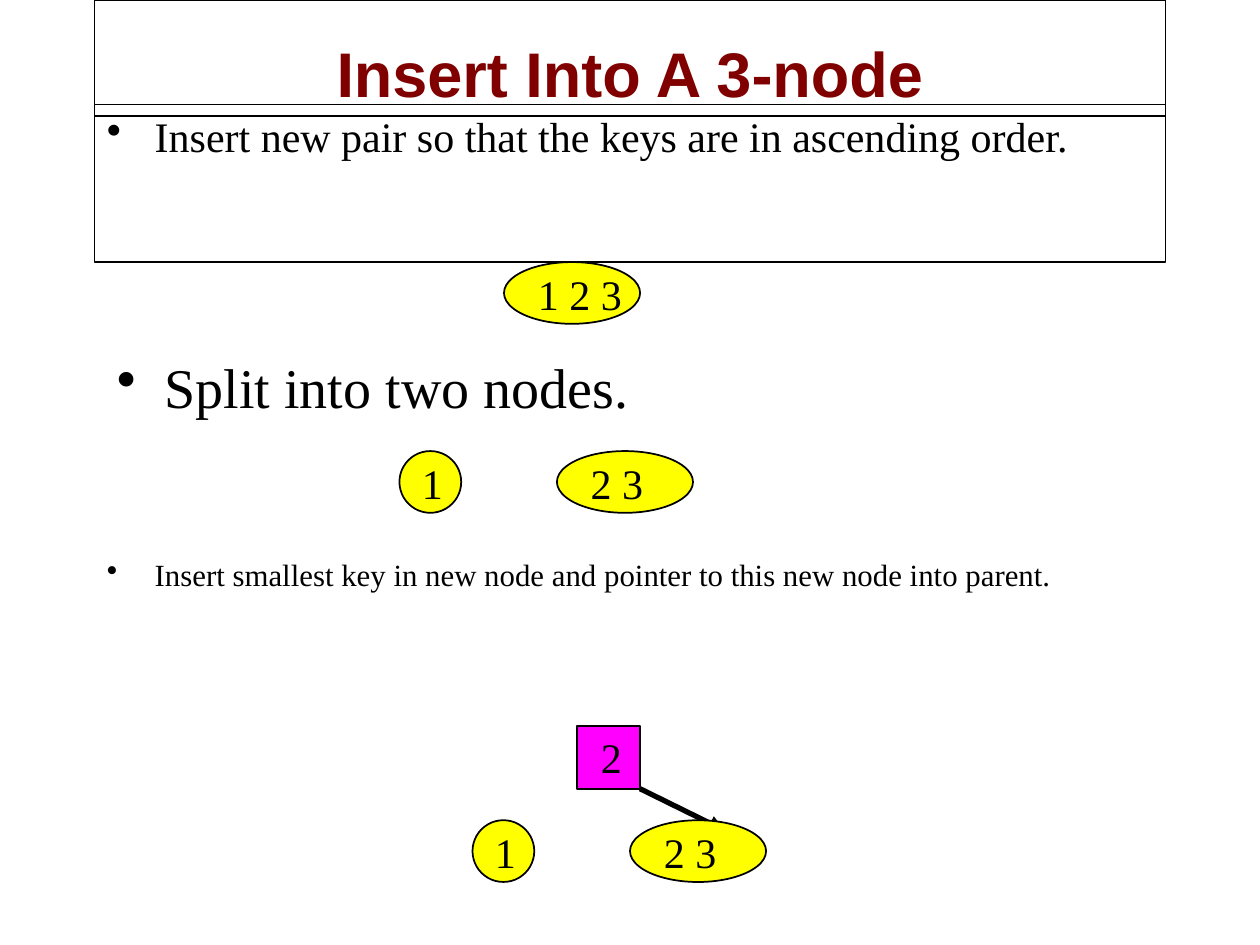
from lxml.etree import SubElement
from pptx import Presentation
from pptx.dml.color import RGBColor
from pptx.enum.shapes import MSO_CONNECTOR, MSO_SHAPE
from pptx.enum.text import MSO_ANCHOR, PP_ALIGN
from pptx.oxml.ns import qn
from pptx.util import Inches, Pt

COLORS = {
    "text": "000000",
    "title": "800000",
    "node": "FFFF00",
    "parent": "FF00FF",
}
SERIF = "Times New Roman"
NODE_HEIGHT = 0.49
WIDE_NODE = 1.08
PARENT_SIZE = 0.5


def color(name):
    return RGBColor.from_string(COLORS[name])


def write_text(shape, text, size, font=SERIF, color_name="text", bold=False):
    """Put one left-aligned line of text in a shape and return its paragraph."""
    frame = shape.text_frame
    frame.word_wrap = True
    frame.vertical_anchor = MSO_ANCHOR.TOP
    frame.text = text
    para = frame.paragraphs[0]
    para.alignment = PP_ALIGN.LEFT
    span = para.runs[0]
    span.font.name = font
    span.font.size = Pt(size)
    span.font.bold = bold
    span.font.color.rgb = color(color_name)
    return para


def add_outline(shapes, kind, left, top, width, height, fill=None, weight=1):
    shape = shapes.add_shape(
        kind, Inches(left), Inches(top), Inches(width), Inches(height))
    shape.shadow.inherit = False
    if fill:
        shape.fill.solid()
        shape.fill.fore_color.rgb = color(fill)
    else:
        shape.fill.background()
    shape.line.color.rgb = color("text")
    shape.line.width = Pt(weight)
    return shape


def add_label(shapes, text, left, top, width):
    box = shapes.add_textbox(
        Inches(left), Inches(top), Inches(width), Inches(0.5))
    write_text(box, text, 24)


def add_node(shapes, keys, left, top):
    """Draw a yellow tree node: round for one key, wide for several."""
    single = len(keys) == 1
    width = NODE_HEIGHT if single else WIDE_NODE
    add_outline(shapes, MSO_SHAPE.OVAL, left, top, width, NODE_HEIGHT, "node")
    if single:
        add_label(shapes, keys, left + 0.08, top, 0.42)
    else:
        add_label(shapes, keys, left + 0.17, top, 1.17)


def add_split_nodes(shapes, left, top):
    add_node(shapes, "2 3", left + 1.25, top)
    add_node(shapes, "1", left, top)


def add_parent(shapes, key, left, top):
    add_outline(shapes, MSO_SHAPE.RECTANGLE, left, top,
                PARENT_SIZE, PARENT_SIZE, "parent")
    add_label(shapes, key, left + 0.09, top, 0.75)


def add_pointer(shapes, start, end):
    pointer = shapes.add_connector(
        MSO_CONNECTOR.STRAIGHT, *(Inches(value) for value in start + end))
    pointer.line.color.rgb = color("text")
    pointer.line.width = Pt(3)
    SubElement(pointer.line._get_or_add_ln(), qn("a:tailEnd"), type="triangle")
    SubElement(pointer._element.spPr, qn("a:effectLst"))


def make_bullet(para):
    properties = para._p.get_or_add_pPr()
    properties.set("marL", str(Inches(0.38)))
    properties.set("indent", str(Inches(-0.38)))
    bullet_color = SubElement(properties, qn("a:buClr"))
    SubElement(bullet_color, qn("a:srgbClr"), val=COLORS["text"])
    SubElement(properties, qn("a:buChar"), char="•")


def add_step(shapes, text, size, left, top):
    box = shapes.add_textbox(
        Inches(left), Inches(top), Inches(8.5), Inches(0.75))
    para = write_text(box, text, size)
    make_bullet(para)
    return para


def add_heading(shapes):
    title = add_outline(shapes, MSO_SHAPE.RECTANGLE, 0.75, 0, 8.5, 0.92,
                        weight=0.75)
    para = write_text(title, "Insert Into A 3-node", 36, "Arial", "title", True)
    para.alignment = PP_ALIGN.CENTER
    title.text_frame.vertical_anchor = MSO_ANCHOR.BOTTOM

    body = add_outline(shapes, MSO_SHAPE.RECTANGLE, 0.75, 0.83, 8.5, 1.25,
                       weight=0.75)
    make_bullet(write_text(
        body, "Insert new pair so that the keys are in ascending order.", 24))


def main():
    deck = Presentation()
    deck.slide_width, deck.slide_height = Inches(10), Inches(7.5)
    page = deck.slides.add_slide(deck.slide_layouts[6])
    shapes = page.shapes

    add_heading(shapes)
    add_node(shapes.add_group_shape().shapes, "1 2 3", 4, 2.08)

    add_step(shapes, "Split into two nodes.", 32, 0.83, 2.75)
    add_split_nodes(shapes.add_group_shape().shapes, 3.17, 3.58)

    last_step = add_step(
        shapes,
        "Insert smallest key in new node and pointer to this new node "
        "into parent.", 17.6, 0.75, 4.42)
    last_step.line_spacing = 0.8
    tree = shapes.add_group_shape().shapes
    add_parent(tree, "2", 4.58, 5.76)
    add_pointer(tree, (5.08, 6.26), (5.75, 6.59))
    add_split_nodes(tree, 3.75, 6.51)

    deck.save("out.pptx")


if __name__ == "__main__":
    main()
